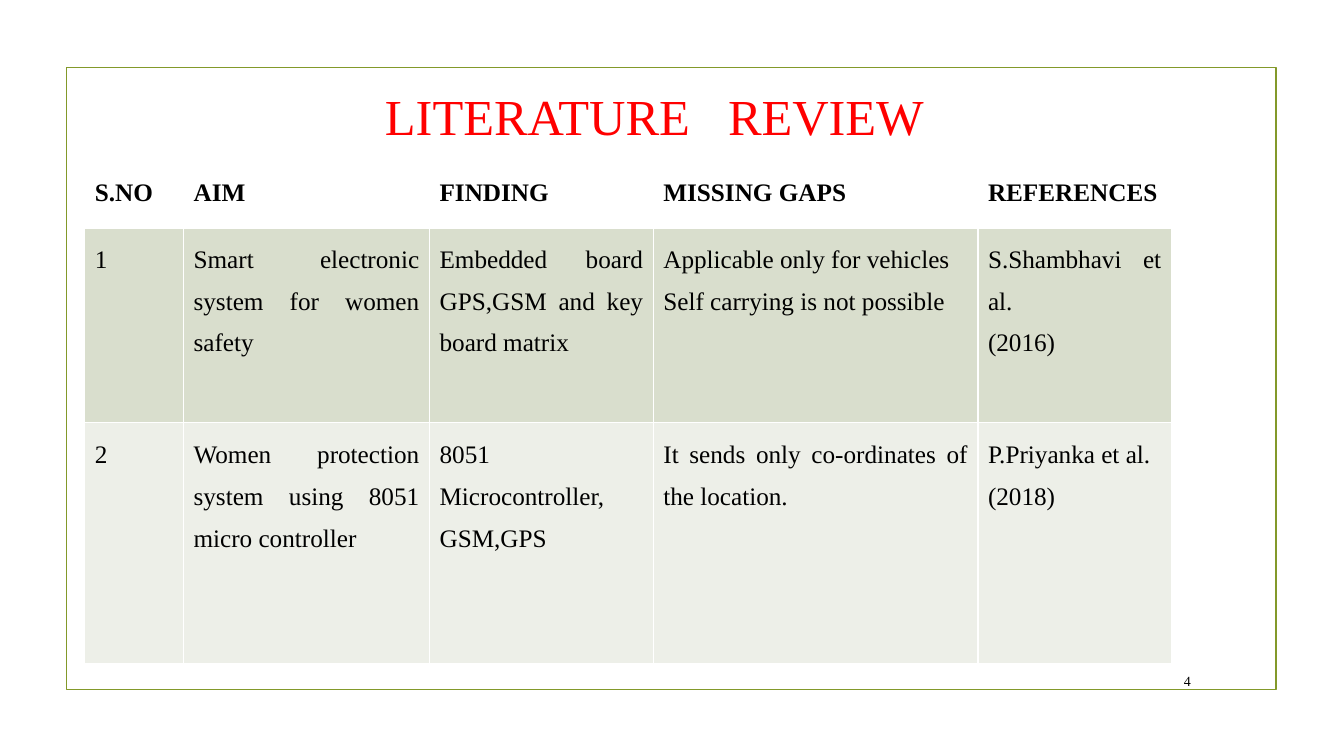
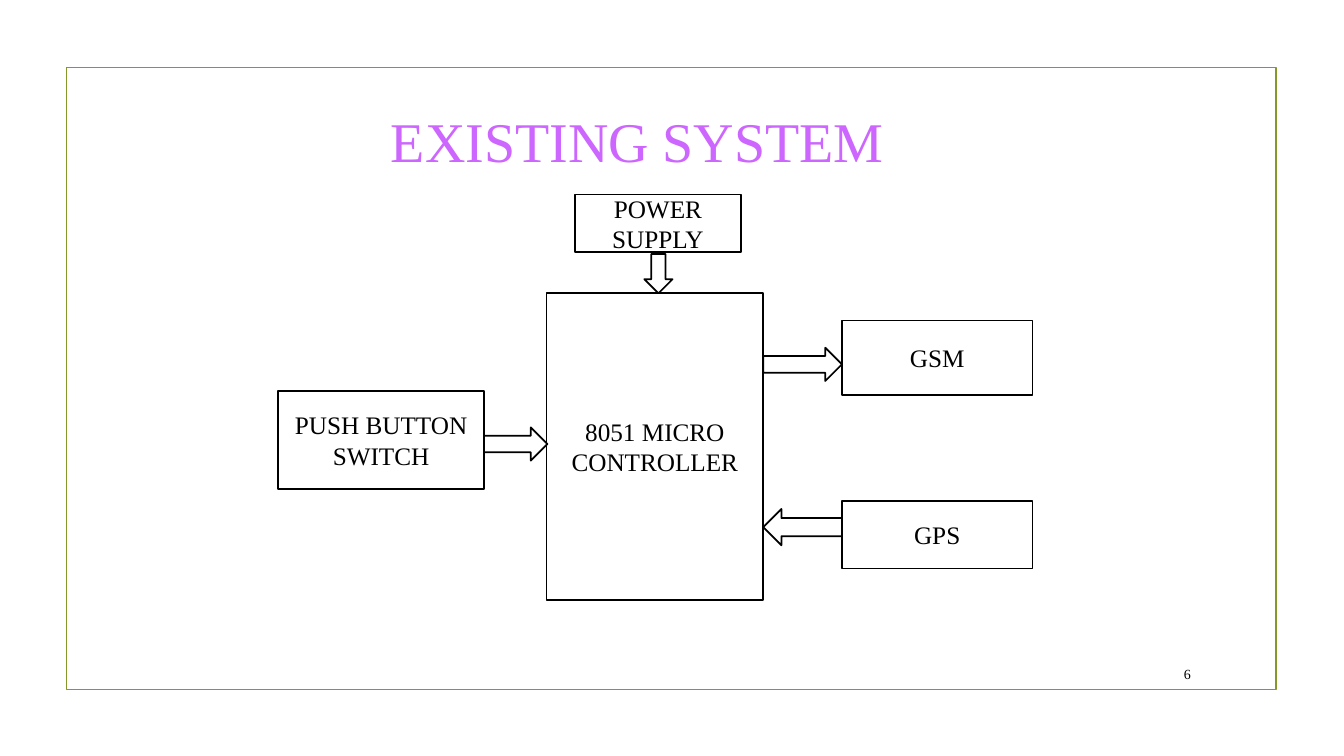
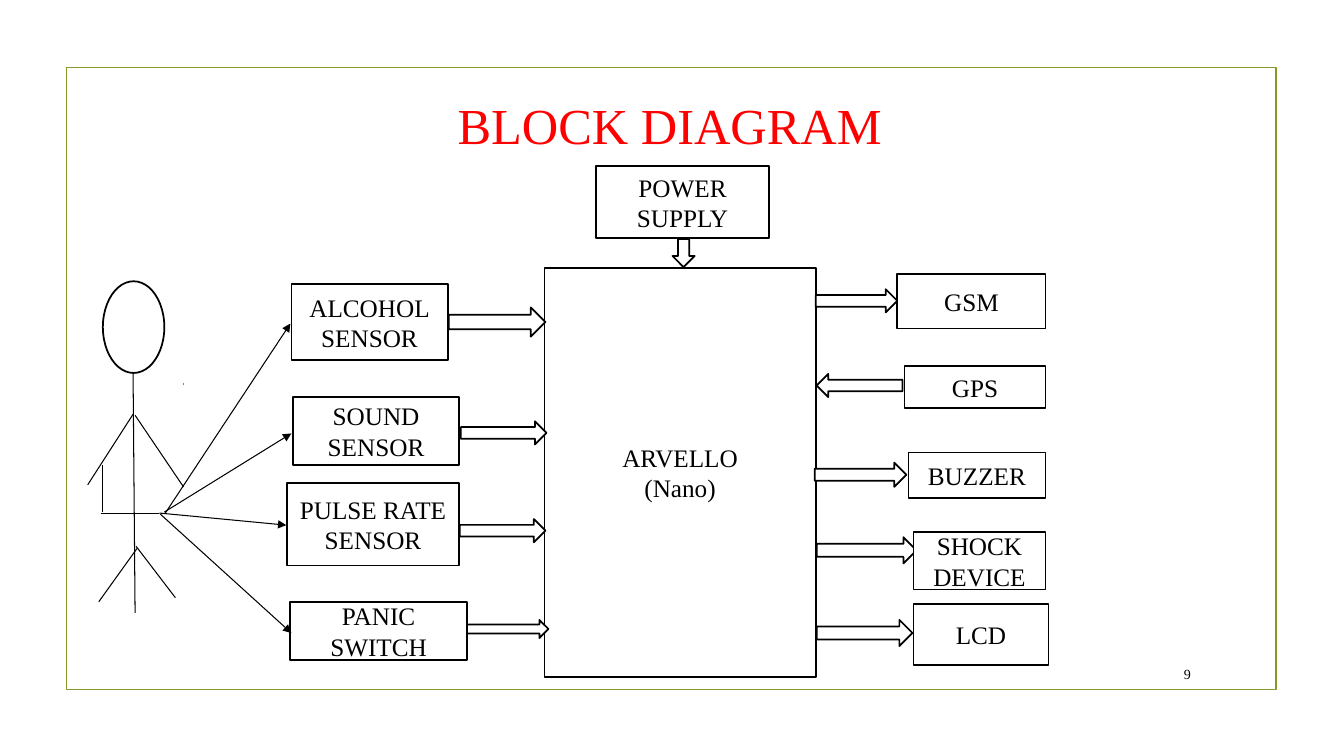
from dataclasses import dataclass

from pptx import Presentation
from pptx import util as u
from pptx.dml.color import RGBColor
from pptx.enum import shapes, text
from pptx.oxml import parse_xml
from pptx.oxml.ns import nsdecls, qn

Inches, Pt = u.Inches, u.Pt
RECT = shapes.MSO_SHAPE.RECTANGLE
OVAL = shapes.MSO_SHAPE.FLOWCHART_CONNECTOR
RIGHT = shapes.MSO_SHAPE.RIGHT_ARROW
LEFT = shapes.MSO_SHAPE.LEFT_ARROW
DOWN = shapes.MSO_SHAPE.DOWN_ARROW
ALIGN = text.PP_ALIGN


@dataclass(frozen=True)
class Theme:
    font: str = "Times New Roman"
    black: str = "000000"
    white: str = "FFFFFF"
    green: str = "83992A"
    red: str = "FF0000"
    violet: str = "CC66FF"
    bands: tuple = ("D9DECD", "EDEFE8")
    title: int = 36
    big_title: int = 40
    body: int = 18
    number: int = 10
    outline: float = 1.25
    thin: float = 0.75


T = Theme()


def rgb(color):
    return RGBColor.from_string(color)


# Text
def style(tf, size, color=T.black, align=ALIGN.LEFT, bold=False, spacing=None):
    tf.word_wrap = True
    for p in tf.paragraphs:
        p.alignment = align
        if spacing:
            p.line_spacing = spacing
        for r in p.runs:
            r.font.name, r.font.size, r.font.bold = T.font, Pt(size), bold
            r.font.color.rgb = rgb(color)


def add_text(s, at, content, size, anchor=text.MSO_ANCHOR.MIDDLE, **look):
    tf = s.shapes.add_textbox(*map(Inches, at)).text_frame
    tf.text = content
    tf.vertical_anchor = anchor
    style(tf, size, **look)
    return tf


# Shapes and lines
def add_shape(s, kind, at, content="", line=T.black, filled=True):
    sp = s.shapes.add_shape(kind, *map(Inches, at))
    sp.shadow.inherit = False
    if filled:
        sp.fill.solid()
        sp.fill.fore_color.rgb = rgb(T.white)
    else:
        sp.fill.background()
    sp.line.color.rgb = rgb(line)
    sp.line.width = Pt(T.outline)
    if content:
        sp.text_frame.text = content
        sp.text_frame.vertical_anchor = text.MSO_ANCHOR.MIDDLE
        style(sp.text_frame, T.body, align=ALIGN.CENTER)


def add_boxes(s, boxes):
    for content, at in boxes:
        add_shape(s, RECT, at, content)


def add_arrows(s, arrows):
    for kind, at in arrows:
        add_shape(s, kind, at)


def add_line(s, start, end, color=T.black, arrow=False):
    cx = s.shapes.add_connector(shapes.MSO_CONNECTOR.STRAIGHT,
                                *map(Inches, start + end))
    cx.line.color.rgb = rgb(color)
    cx.line.width = Pt(T.thin)
    if arrow:
        cx.line._get_or_add_ln().append(
            parse_xml(f'<a:tailEnd {nsdecls("a")} type="triangle"/>'))
    cx._element.spPr.append(parse_xml(f'<a:effectLst {nsdecls("a")}/>'))


# Table
def set_borders(cell, bottom):
    pr = cell._tc.get_or_add_tcPr()
    widths = {"lnL": 1, "lnR": 1, "lnT": 1, "lnB": bottom}
    for i, (side, width) in enumerate(widths.items()):
        pr.insert(i, parse_xml(
            f'<a:{side} {nsdecls("a")} w="{Pt(width)}"><a:solidFill>'
            f'<a:srgbClr val="{T.white}"/></a:solidFill></a:{side}>'))


def add_table(s, at, widths, heights, rows):
    table = s.shapes.add_table(len(rows), len(widths),
                               *map(Inches, at)).table
    for col, width in zip(table.columns, widths):
        col.width = Inches(width)
    for row, height in zip(table.rows, heights):
        row.height = Inches(height)
    fills = (T.white,) + T.bands
    for i, values in enumerate(rows):
        header = i == 0
        for cell, value in zip(table.rows[i].cells, values):
            cell.text = value
            style(cell.text_frame, T.body, align=ALIGN.JUSTIFY,
                  bold=header, spacing=1.5)
            cell.fill.solid()
            cell.fill.fore_color.rgb = rgb(fills[i])
            set_borders(cell, 3 if header else 1)


# Shared frame and page number
def new_slide(prs, number, number_top=6.53):
    s = prs.slides.add_slide(prs.slide_layouts[6])
    add_shape(s, RECT, (0.66, 0.67, 12, 6.17), line=T.green, filled=False)
    add_text(s, (11.32, number_top, 0.59, 0.31), str(number), T.number,
             align=ALIGN.RIGHT)
    return s


def literature_review(prs):
    s = new_slide(prs, 4, 6.6)
    add_table(s, (0.84, 1.59, 10.78, 4.99),
              (0.98, 2.44, 2.22, 3.22, 1.92), (0.66, 1.94, 2.39), [
        ("S.NO", "AIM", "FINDING", "MISSING GAPS", "REFERENCES"),
        ("1", "Smart electronic system for women safety",
         "Embedded board GPS,GSM and key board matrix",
         "Applicable only for vehicles\nSelf carrying is not possible",
         "S.Shambhavi et al.\n(2016)"),
        ("2", "Women protection system using 8051 micro controller",
         "8051 Microcontroller, GSM,GPS",
         "It sends only co-ordinates of the location.",
         "P.Priyanka et al.\n(2018)"),
    ])
    tf = add_text(s, (3.72, 0.79, 6.34, 0.71), "LITERATURE", T.title,
                  anchor=text.MSO_ANCHOR.TOP)
    p = tf.paragraphs[0]
    gap = p.add_run()
    gap.text = " "
    p.add_run().text = "REVIEW"
    style(tf, T.title, T.red)
    # Widen the gap between the two words
    gap.font._element.set("spc", "1800")


def existing_system(prs):
    s = new_slide(prs, 6)
    add_text(s, (3.78, 0.85, 5.47, 0.74), "EXISTING SYSTEM", T.big_title,
             color=T.violet, align=ALIGN.JUSTIFY, spacing=1.5)
    add_boxes(s, [
        ("8051 MICRO CONTROLLER", (5.42, 2.91, 2.15, 3.04)),
        ("POWER\nSUPPLY", (5.7, 1.93, 1.65, 0.57)),
        ("PUSH BUTTON SWITCH", (2.76, 3.88, 2.04, 0.97)),
        ("GSM", (8.35, 3.18, 1.89, 0.74)),
        ("GPS", (8.35, 4.97, 1.89, 0.67)),
    ])
    add_arrows(s, [
        (DOWN, (6.39, 2.52, 0.28, 0.39)),
        (RIGHT, (4.8, 4.24, 0.63, 0.33)),
        (RIGHT, (7.57, 3.45, 0.78, 0.33)),
        (LEFT, (7.57, 5.05, 0.78, 0.36)),
    ])


def add_person(s):
    add_shape(s, OVAL, (1.02, 2.79, 0.61, 0.91))
    limbs = [
        ((1.32, 3.7), (1.34, 6.08)),
        ((1.34, 4.12), (1.82, 4.83)),
        ((1.32, 4.11), (0.87, 4.81)),
        ((1.36, 5.44), (0.98, 5.97)),
        ((1.35, 5.42), (1.74, 5.93)),
        ((1, 5.09), (1.58, 5.09)),
        ((1.02, 5.08), (1.02, 4.61)),
    ]
    for start, end in limbs:
        add_line(s, start, end)
    add_line(s, (1.82, 3.82), (1.82, 3.8), T.green)


def block_diagram(prs):
    s = new_slide(prs, 9)
    add_text(s, (4.44, 0.71, 4.65, 0.75), "BLOCK DIAGRAM", T.title,
             color=T.red, align=ALIGN.JUSTIFY, spacing=1.5)
    # Controller and its signals
    add_boxes(s, [("ARVELLO\n(Nano)", (5.4, 2.66, 2.69, 4.06))])
    add_arrows(s, [
        (DOWN, (6.67, 2.37, 0.22, 0.28)),
        (RIGHT, (4.45, 3.05, 0.96, 0.29)),
        (RIGHT, (4.57, 4.18, 0.85, 0.23)),
        (RIGHT, (4.56, 5.15, 0.85, 0.23)),
        (RIGHT, (4.63, 6.15, 0.81, 0.18)),
        (RIGHT, (8.09, 2.87, 0.81, 0.23)),
        (LEFT, (8.1, 3.71, 0.85, 0.23)),
        (RIGHT, (8.08, 4.59, 0.91, 0.24)),
        (RIGHT, (8.1, 5.33, 0.99, 0.26)),
        (RIGHT, (8.1, 6.15, 0.95, 0.26)),
    ])
    # Supply, inputs and outputs
    add_boxes(s, [
        ("POWER\nSUPPLY", (5.91, 1.65, 1.72, 0.71)),
        ("ALCOHOL\nSENSOR", (2.89, 2.82, 1.55, 0.75)),
        ("SOUND\nSENSOR", (2.91, 3.94, 1.64, 0.67)),
        ("PULSE RATE\nSENSOR", (2.85, 4.79, 1.7, 0.82)),
        ("PANIC\nSWITCH", (2.88, 5.97, 1.75, 0.58)),
        ("GSM", (8.9, 2.72, 1.47, 0.54)),
        ("GPS", (8.97, 3.63, 1.4, 0.42)),
        ("BUZZER", (9.01, 4.49, 1.36, 0.45)),
        ("SHOCK DEVICE", (9.06, 5.28, 1.31, 0.57)),
        ("LCD", (9.06, 5.99, 1.34, 0.61)),
    ])
    # Person and the links to the sensors
    add_person(s)
    links = [
        ((1.64, 5.09), (2.88, 3.21)),
        ((1.63, 5.08), (2.89, 4.3)),
        ((1.58, 5.09), (2.84, 5.21)),
        ((1.59, 5.1), (2.89, 6.28)),
    ]
    for start, end in links:
        add_line(s, start, end, arrow=True)


def main():
    prs = Presentation()
    prs.slide_width, prs.slide_height = Inches(13.33), Inches(7.5)
    literature_review(prs)
    existing_system(prs)
    block_diagram(prs)
    prs.save("out.pptx")


if __name__ == "__main__":
    main()
